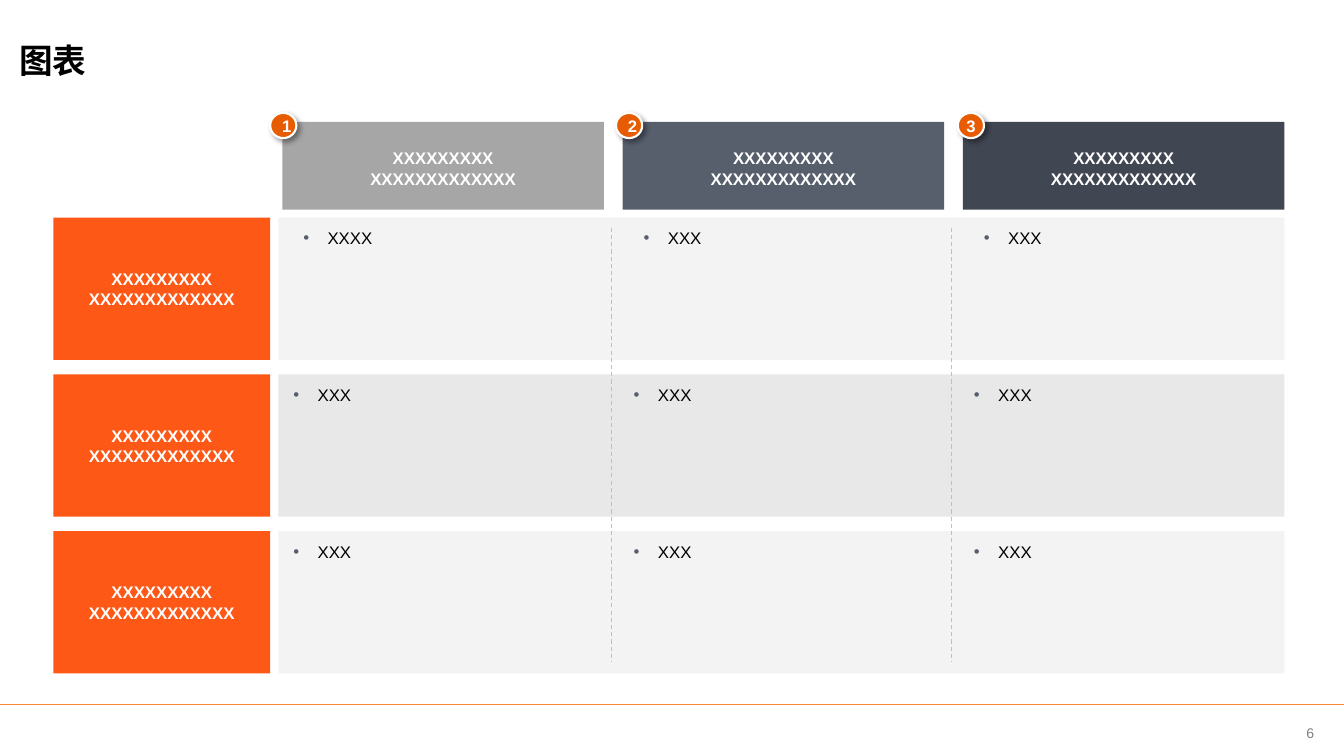
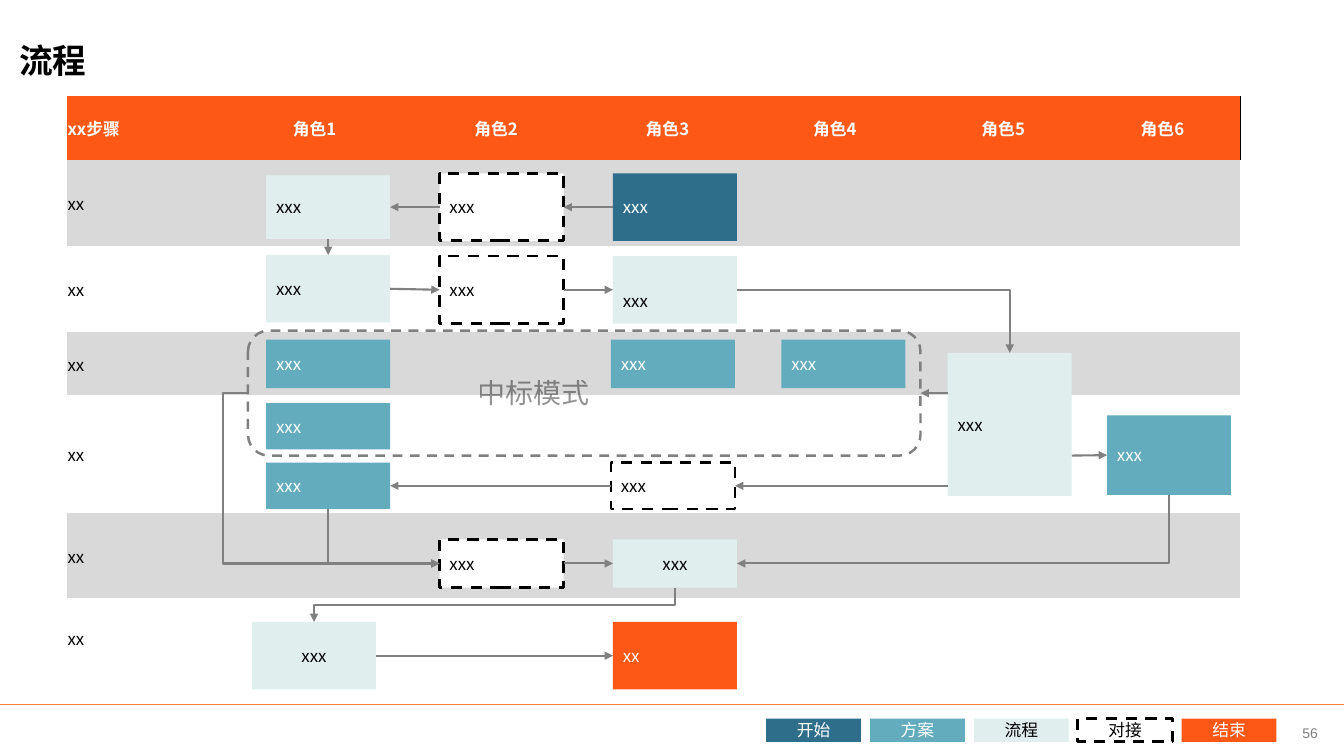
from lxml.etree import SubElement
from pptx import Presentation
from pptx.dml.color import RGBColor
from pptx.enum.dml import MSO_LINE
from pptx.enum.shapes import MSO_CONNECTOR, MSO_SHAPE
from pptx.enum.text import MSO_ANCHOR, PP_ALIGN
from pptx.oxml.ns import qn
from pptx.util import Inches, Pt

COLORS = {
    "orange": "FE5817", "badge": "E75C01", "rule": "FE8637",
    "navy": "2E6E8A", "teal": "63ACBD", "mint": "E0EEEE",
    "slate": "575F6D", "charcoal": "414752", "silver": "A6A6A6",
    "pale": "F3F3F3", "light": "E8E8E8", "band": "D9D9D9",
    "separator": "BFBFBF", "gray": "808080",
    "white": "FFFFFF", "black": "000000",
}
LATIN, CHINESE = "Arial", "Noto Sans CJK SC"
TOP, LEFT, BOTTOM, RIGHT = range(4)
NO_MARGINS = (0, 0, 0, 0)
DEFAULT_MARGINS = (0.1, 0.05, 0.1, 0.05)
PLAIN_TABLE = "{2D5ABB26-0587-4C30-8999-92F81FD0307C}"
BOX_STYLES = {
    "start": ("navy", "white", None),
    "plan": ("teal", "white", None),
    "process": ("mint", "black", None),
    "handover": ("white", "black", ("black", 2, True)),
    "end": ("orange", "white", None),
}


def rgb(name):
    return RGBColor.from_string(COLORS[name])


class Deck:
    def __init__(self):
        self.presentation = Presentation()
        self.presentation.slide_width = Inches(13.33)
        self.presentation.slide_height = Inches(7.5)
        self.slide = None

    def start_slide(self, title, number):
        layout = self.presentation.slide_layouts[6]
        self.slide = self.presentation.slides.add_slide(layout)
        self.text((0.19, 0.2, 11.96, 0.79), [title], size=24, bold=True,
                  font=CHINESE, margins=NO_MARGINS, anchor=MSO_ANCHOR.MIDDLE)
        self.line((0, 6.99), (13.33, 6.99), "rule", 1)
        self.text((12.66, 7.04, 0.67, 0.46), [number], size=10, color="gray",
                  align=PP_ALIGN.CENTER, margins=NO_MARGINS,
                  anchor=MSO_ANCHOR.MIDDLE)

    def style_paragraph(self, paragraph, size=12, color="black", bold=False,
                        font=LATIN, align=PP_ALIGN.LEFT, alpha=None):
        paragraph.alignment = align
        paragraph.font.size = Pt(size)
        paragraph.font.bold = bold
        paragraph.font.color.rgb = rgb(color)
        paragraph.font.name = font
        properties = paragraph._p.pPr.find(qn("a:defRPr"))
        SubElement(properties, qn("a:ea"), typeface=font)
        if alpha:
            tint = properties.find(".//" + qn("a:srgbClr"))
            SubElement(tint, qn("a:alpha"), val=str(alpha * 1000))

    def fill_text(self, frame, lines, margins=DEFAULT_MARGINS,
                  anchor=MSO_ANCHOR.MIDDLE, bullet=False, **style):
        frame.word_wrap = True
        frame.vertical_anchor = anchor
        (frame.margin_left, frame.margin_top,
         frame.margin_right, frame.margin_bottom) = map(Inches, margins)
        for index, line in enumerate(lines):
            paragraph = frame.add_paragraph() if index else frame.paragraphs[0]
            paragraph.text = line
            if bullet:
                self.add_bullet(paragraph)
            self.style_paragraph(paragraph, **style)

    def add_bullet(self, paragraph):
        properties = paragraph._p.get_or_add_pPr()
        properties.set("marL", str(Inches(0.35)))
        properties.set("indent", str(Inches(-0.24)))
        color = SubElement(properties, qn("a:buClr"))
        SubElement(color, qn("a:srgbClr"), val=COLORS["slate"])
        SubElement(properties, qn("a:buFont"), typeface=LATIN)
        SubElement(properties, qn("a:buChar"), char="•")

    def text(self, box, lines, anchor=MSO_ANCHOR.TOP, **style):
        shape = self.slide.shapes.add_textbox(*map(Inches, box))
        self.fill_text(shape.text_frame, lines, anchor=anchor, **style)

    def style_line(self, line, color, width, dashed=False):
        line.color.rgb = rgb(color)
        line.width = Pt(width)
        if dashed:
            line.dash_style = MSO_LINE.DASH

    def shape(self, box, fill=None, lines=(), outline=None,
              kind=MSO_SHAPE.RECTANGLE, **style):
        shape = self.slide.shapes.add_shape(kind, *map(Inches, box))
        shape.shadow.inherit = False
        if fill:
            shape.fill.solid()
            shape.fill.fore_color.rgb = rgb(fill)
        else:
            shape.fill.background()
        if outline:
            self.style_line(shape.line, *outline)
        else:
            shape.line.fill.background()
        if lines:
            self.fill_text(shape.text_frame, lines, **style)
        return shape

    def badge(self, box, number, margins):
        shape = self.shape(box, "badge", [number], ("white", 1.5),
                           MSO_SHAPE.OVAL, size=11.9, color="white", bold=True,
                           align=PP_ALIGN.CENTER, margins=margins)
        effects = shape._element.spPr.find(qn("a:effectLst"))
        shadow = SubElement(effects, qn("a:outerShdw"), blurRad=str(Pt(4)),
                            dist=str(Pt(3)), dir=str(45 * 60000))
        color = SubElement(shadow, qn("a:srgbClr"), val=COLORS["black"])
        SubElement(color, qn("a:alpha"), val="40000")

    def flow_box(self, box, style, label="xxx", align=PP_ALIGN.LEFT,
                 margins=DEFAULT_MARGINS):
        fill, color, outline = BOX_STYLES[style]
        return self.shape(box, fill, [label], outline, color=color,
                          font=CHINESE, align=align, margins=margins)

    def line(self, start, end, color, width, dashed=False,
             kind=MSO_CONNECTOR.STRAIGHT):
        connector = self.slide.shapes.add_connector(
            kind, *map(Inches, (*start, *end)))
        self.style_line(connector.line, color, width, dashed)
        SubElement(connector._element.spPr, qn("a:effectLst"))
        return connector

    def arrow(self, begin, end, start=(0, 0), kind=MSO_CONNECTOR.STRAIGHT):
        connector = self.line(start, start, "gray", 1.5, kind=kind)
        if begin:
            connector.begin_connect(*begin)
        connector.end_connect(*end)
        SubElement(connector.line._get_or_add_ln(), qn("a:tailEnd"),
                   type="triangle")
        return connector

    def elbow(self, begin, end, bend=None):
        connector = self.arrow(begin, end, kind=MSO_CONNECTOR.ELBOW)
        x, y = connector.begin_x, connector.begin_y
        across, down = connector.end_x - x, connector.end_y - y
        properties = connector._element.spPr
        if begin[1] == BOTTOM:
            connector.left = x + (across - down) // 2
            connector.top = y + (down - abs(across)) // 2
            connector.width, connector.height = down, abs(across)
            properties.xfrm.rot = 90 if across < 0 else 270
            properties.xfrm.flipH = across > 0
        geometry = properties.find(qn("a:prstGeom"))
        if begin[1] % 2 != end[1] % 2:
            geometry.set("prst", "bentConnector2")
        elif bend is not None:
            SubElement(geometry.find(qn("a:avLst")), qn("a:gd"), name="adj1",
                       fmla=f"val {round(bend * 100000)}")

    def table(self, box, widths, heights, headings, labels):
        table = self.slide.shapes.add_table(
            len(heights), len(widths), *map(Inches, box)).table
        table.first_row = table.horz_banding = False
        table._tbl.tblPr.find(qn("a:tableStyleId")).text = PLAIN_TABLE
        for column, width in zip(table.columns, widths):
            column.width = Inches(width)
        for row, height in zip(table.rows, heights):
            row.height = Inches(height)
        for index, heading in enumerate(headings):
            align = PP_ALIGN.CENTER if index else PP_ALIGN.LEFT
            self.cell(table.cell(0, index), heading, "orange",
                      color="white", bold=True, align=align)
        for row, label in enumerate(labels, 1):
            for column in range(len(widths)):
                self.cell(table.cell(row, column), "" if column else label,
                          "band" if row % 2 else None)
        return table

    def cell(self, cell, label, fill, **style):
        cell.vertical_anchor = MSO_ANCHOR.MIDDLE
        cell.margin_left = cell.margin_right = cell.margin_top = Inches(0.01)
        cell.margin_bottom = 0
        cell.text = label
        self.style_paragraph(cell.text_frame.paragraphs[0], font=CHINESE, **style)
        if fill:
            cell.fill.solid()
            cell.fill.fore_color.rgb = rgb(fill)
        else:
            cell.fill.background()

    def right_border(self, cell, color, width):
        properties = cell._tc.get_or_add_tcPr()
        edge = SubElement(properties, qn("a:lnR"), w=str(Pt(width)))
        properties.insert(0, edge)
        fill = SubElement(edge, qn("a:solidFill"))
        SubElement(fill, qn("a:srgbClr"), val=COLORS[color])


def build_matrix(deck):
    deck.start_slide("图表", "6")
    heading = ["XXXXXXXXX", "XXXXXXXXXXXXX"]
    heading_style = dict(color="white", bold=True, align=PP_ALIGN.CENTER)
    columns = [2.8 + index * (9.55 - 2.8) / 2 for index in range(3)]
    rows = [2.16 + index * (5.27 - 2.16) / 2 for index in range(3)]
    for row, top in enumerate(rows):
        deck.shape((2.76, top, 9.98, 1.41), "light" if row == 1 else "pale")
        deck.shape((0.53, top, 2.15, 1.41), "orange", heading,
                   margins=(0, 0.1, 0, 0.1), **heading_style)
        side = 0 if row else 0.1
        for column, left in enumerate(columns):
            label = "XXX" if row or column else "XXXX"
            deck.text((left, top, 3.19, 1.41), [label], bullet=True,
                      margins=(side, 0.1, side, 0.1))
    for left, fill in zip(columns, ("silver", "slate", "charcoal")):
        deck.shape((left, 1.21, 3.19, 0.87), fill, heading,
                   margins=(0.1, 0.1, 0.1, 0.05), **heading_style)
    shifted = (0.08, 0, 0.02, 0)
    badges = ((2.68, shifted), (6.11, shifted), (9.5, NO_MARGINS))
    for number, (left, margins) in enumerate(badges, 1):
        deck.badge((left, 1.12, 0.26, 0.25), str(number), margins)
    for left in (6.07, 9.44):
        deck.line((left, 2.26), (left, 6.56), "separator", 0.75, True)


def build_process(deck):
    deck.start_slide("流程", "56")
    headings = ["xx步骤"] + [f"角色{number}" for number in range(1, 7)]
    table = deck.table((0.66, 0.95, 11.63, 5.76),
                       (1.56, 1.8, 1.8, 1.6, 1.72, 1.62, 1.54),
                       (0.64, 0.85, 0.85, 0.63, 1.17, 0.84, 0.79),
                       headings, ["xx"] * 6)
    deck.right_border(table.cell(0, 6), "black", 0.5)

    legend = zip(BOX_STYLES, ("开始", "方案", "流程", "对接", "结束"))
    for index, (style, label) in enumerate(legend):
        deck.flow_box((7.6 + 1.03 * index, 7.13, 0.94, 0.23), style, label,
                      PP_ALIGN.CENTER)

    first, second, third = 2.64, 4.36, 6.08
    boxes = {
        "start": (third, 1.72, 0.67, "start"),
        "handover 1": (second, 1.72, 0.67, "handover"),
        "process 1": (first, 1.74, 0.63, "process"),
        "process 2": (first, 2.53, 0.67, "process"),
        "handover 2": (second, 2.54, 0.67, "handover"),
        "review": (9.4, 3.5, 1.42, "process"),
        "role 6 plan": (10.98, 4.12, 0.79, "plan"),
        "bid 1": (first, 3.37, 0.48, "plan"),
        "bid 2": (6.06, 3.37, 0.48, "plan"),
        "bid 3": (7.75, 3.37, 0.48, "plan"),
        "bid 4": (first, 4, 0.46, "plan"),
        "plan": (first, 4.59, 0.46, "plan"),
        "handover 3": (6.06, 4.59, 0.46, "handover"),
        "handover 4": (second, 5.35, 0.48, "handover"),
    }
    node = {name: deck.flow_box((left, top, 1.23, height), style)
            for name, (left, top, height, style) in boxes.items()}
    node["process 3"] = deck.flow_box((third, 2.54, 1.23, 0.67), "process",
                                      margins=(0.1, 0.27, 0.1, 0.05))
    node["merge"] = deck.flow_box((third, 5.35, 1.23, 0.48), "process",
                                  align=PP_ALIGN.CENTER)
    node["closing"] = deck.flow_box((2.5, 6.17, 1.23, 0.67), "process",
                                    align=PP_ALIGN.CENTER)
    node["end"] = deck.flow_box((third, 6.17, 1.23, 0.67), "end", "xx")
    node["frame"] = deck.shape((2.46, 3.28, 6.67, 1.24),
                               outline=("gray", 1.75, True),
                               kind=MSO_SHAPE.ROUNDED_RECTANGLE)
    deck.text((4.64, 3.68, 1.75, 0.42), ["中标模式"], size=20, font=CHINESE,
              alpha=41)

    for begin, begin_side, end, end_side in (
            ("start", LEFT, "handover 1", RIGHT),
            ("handover 1", LEFT, "process 1", RIGHT),
            ("process 1", BOTTOM, "process 2", TOP),
            ("process 2", RIGHT, "handover 2", LEFT),
            ("handover 2", RIGHT, "process 3", LEFT),
            ("handover 4", RIGHT, "merge", LEFT),
            ("handover 3", LEFT, "plan", RIGHT),
            ("closing", RIGHT, "end", LEFT)):
        deck.arrow((node[begin], begin_side), (node[end], end_side))
    for start, end, side in (((10.63, 4.52), "role 6 plan", LEFT),
                             ((9.4, 3.9), "frame", RIGHT),
                             ((9.4, 4.82), "handover 3", RIGHT)):
        deck.arrow(None, (node[end], side), start)
    for begin, begin_side, end, end_side, bend in (
            ("process 3", RIGHT, "review", TOP, None),
            ("frame", LEFT, "handover 4", LEFT, -0.13),
            ("role 6 plan", BOTTOM, "merge", RIGHT, None),
            ("merge", BOTTOM, "closing", TOP, 0.5),
            ("plan", BOTTOM, "handover 4", LEFT, None)):
        deck.elbow((node[begin], begin_side), (node[end], end_side), bend)


def main():
    deck = Deck()
    build_matrix(deck)
    build_process(deck)
    deck.presentation.save("out.pptx")


if __name__ == "__main__":
    main()
